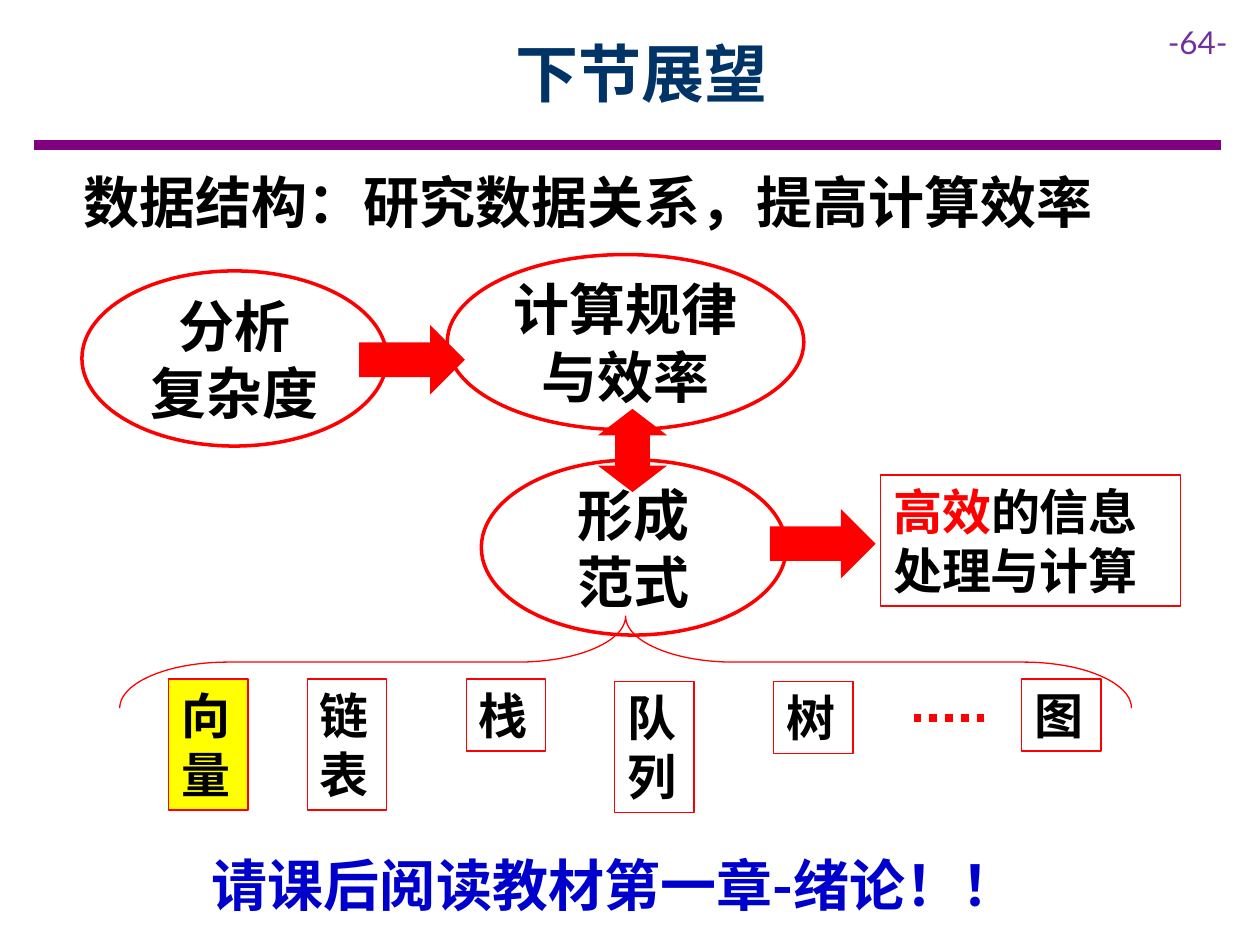
from dataclasses import dataclass

from pptx import Presentation
from pptx.dml.color import RGBColor
from pptx.enum.dml import MSO_LINE
from pptx.enum.shapes import MSO_CONNECTOR, MSO_SHAPE
from pptx.enum.text import MSO_ANCHOR, MSO_AUTO_SIZE, PP_ALIGN
from pptx.oxml.ns import qn
from pptx.util import Inches, Pt
from lxml.etree import SubElement


@dataclass(frozen=True)
class Theme:
    """Colours, fonts and type sizes of the slide."""
    ink: str = "000000"
    red: str = "FF0000"
    yellow: str = "FFFF00"
    navy: str = "003366"
    blue: str = "0000CC"
    purple: str = "800080"
    violet: str = "7030A0"
    chinese: str = "Noto Sans CJK SC"
    latin: str = "Lato"
    title: int = 36
    body: int = 32
    label: int = 28
    number: int = 18


THEME = Theme()
COLUMNS, ROWS = 100, 75
CELL = Inches(10) / COLUMNS


@dataclass(frozen=True)
class Box:
    """An area of the page in grid columns and rows."""
    left: float
    top: float
    columns: float
    rows: float

    def area(self, left, top, columns, rows):
        """Return an area placed relative to this one."""
        return Box(self.left + left, self.top + top, columns, rows)

    def lengths(self):
        """Return left, top, width and height as slide lengths."""
        return [round(value * CELL) for value in
                (self.left, self.top, self.columns, self.rows)]


def style_span(span, size, color, font=THEME.chinese, bold=True):
    """Format one run, with the font set for both scripts."""
    span.font.size, span.font.bold, span.font.name = Pt(size), bold, font
    span.font.color.rgb = RGBColor.from_string(color)
    SubElement(span.font._element, qn("a:ea")).set("typeface", font)


def write(shape, text, size, color, align=PP_ALIGN.CENTER, **style):
    """Fill a shape with text, one paragraph for each line."""
    frame = shape.text_frame
    frame.text = text
    frame.word_wrap = True
    for para in frame.paragraphs:
        para.alignment = align
        for span in para.runs:
            style_span(span, size, color, **style)
    return frame


def add_text(page, box, text, size, color, **style):
    """Add a text box that grows with its text."""
    shape = page.shapes.add_textbox(*box.lengths())
    frame = write(shape, text, size, color, **style)
    frame.auto_size = MSO_AUTO_SIZE.SHAPE_TO_FIT_TEXT


def add_figure(page, kind, box, fill=None, line=None):
    """Add a preset shape with an optional fill and red outline."""
    shape = page.shapes.add_shape(kind, *box.lengths())
    shape.shadow.inherit = False
    if fill:
        shape.fill.solid()
        shape.fill.fore_color.rgb = RGBColor.from_string(fill)
    else:
        shape.fill.background()
    if line:
        shape.line.width = Pt(line)
        shape.line.color.rgb = RGBColor.from_string(THEME.red)
    else:
        shape.line.fill.background()
    return shape


def add_rule(page, box, color, width):
    """Add a horizontal line along the top of a box."""
    left, top, length, _ = box.lengths()
    rule = page.shapes.add_connector(
        MSO_CONNECTOR.STRAIGHT, left, top, left + length, top)
    rule.line.width = Pt(width)
    rule.line.color.rgb = RGBColor.from_string(color)
    SubElement(rule._element.spPr, qn("a:effectLst"))
    return rule


def add_oval(page, box, text):
    """Add an outlined oval with centred text."""
    frame = write(add_figure(page, MSO_SHAPE.OVAL, box, line=2),
                  text, THEME.body, THEME.ink)
    frame.vertical_anchor = MSO_ANCHOR.MIDDLE
    frame.margin_left = frame.margin_right = Inches(0.1)
    frame.margin_top = frame.margin_bottom = Inches(0.1)


def add_arrow(page, box, rotation=0):
    """Add a solid red block arrow."""
    arrow = add_figure(page, MSO_SHAPE.RIGHT_ARROW, box, fill=THEME.red)
    arrow.rotation = rotation


def add_card(page, box, text, fill=None):
    """Add a thinly outlined card and return its text frame."""
    card = add_figure(page, MSO_SHAPE.RECTANGLE, box, fill, line=0.75)
    frame = write(card, text, THEME.label, THEME.ink, align=PP_ALIGN.LEFT)
    frame.vertical_anchor = MSO_ANCHOR.TOP
    frame.auto_size = MSO_AUTO_SIZE.SHAPE_TO_FIT_TEXT
    return frame


def build_header(page, box):
    """Place the title, page number and rule."""
    title = page.shapes.title
    title.left, title.top, title.width, title.height = box.area(
        9.4, 0.7, 83.1, 10).lengths()
    frame = write(title, "下节展望", THEME.title, THEME.navy)
    frame.vertical_anchor = MSO_ANCHOR.MIDDLE
    add_text(page, box.area(91.7, 1.3, 8.3, 4), "-64-", THEME.number,
             THEME.violet, align=PP_ALIGN.LEFT, font=THEME.latin, bold=False)
    add_rule(page, box.area(2.7, box.rows, 94.2, 0), THEME.purple, 6)


def build_flow(page, box):
    """Place the ovals, the arrows between them and the result card."""
    ovals = [("计算规律与效率", 29, 0, 28.3),
             ("分析\n复杂度", 0, 1.3, 24.2),
             ("形成\n范式", 31.7, 16.3, 24.2)]
    for text, left, top, columns in ovals:
        add_oval(page, box.area(left, top, columns, 13.9), text)
    for left, top in ((22, 5.6), (54.6, 20.2)):
        add_arrow(page, box.area(left, top, 8.4, 5.5))
    for top, rotation in ((14, 90), (11.6, 270)):
        add_arrow(page, box.area(41.6, top, 4.2, 5.5), rotation)
    frame = add_card(page, box.area(63.4, 17.5, 23.8, 10.4), "高效")
    para = frame.paragraphs[0]
    para.runs[0].font.color.rgb = RGBColor.from_string(THEME.red)
    span = para.add_run()
    span.text = "的信息处理与计算"
    style_span(span, THEME.label, THEME.ink)


def build_structures(page, box):
    """Place the brace over the row of data structure cards."""
    depth = 7.3
    shift = (box.columns - depth) / 2
    brace = add_figure(page, MSO_SHAPE.LEFT_BRACE, box.area(
        shift, -shift, depth, box.columns), line=0.75)
    brace.rotation = 90
    brace.adjustments[0], brace.adjustments[1] = 1.175, 0.5
    cards = [("向\n量", 3.9, 5, THEME.yellow), ("链表", 14.9, 5, None),
             ("栈", 27.5, 5, None), ("队列", 39.3, 5.2, None),
             ("树", 51.9, 5.2, None), ("图", 71.6, 5, None)]
    for text, left, top, fill in cards:
        rows = 1 + 4.7 * len(text.replace("\n", ""))
        add_card(page, box.area(left, top, 6.3, rows), text, fill)
    dots = add_rule(page, box.area(63, 8.1, 5.6, 0), THEME.red, 4.5)
    dots.line.dash_style = MSO_LINE.ROUND_DOT


def main():
    """Build the slide and save the deck."""
    deck = Presentation()
    deck.slide_width = round(COLUMNS * CELL)
    deck.slide_height = round(ROWS * CELL)
    page = deck.slides.add_slide(deck.slide_layouts[5])
    build_header(page, Box(0, 0, COLUMNS, 11.5))
    add_text(page, Box(2, 12.8, 89.4, 6.4),
             "数据结构：研究数据关系，提高计算效率", THEME.body, THEME.ink)
    build_flow(page, Box(6.5, 20.2, 87.2, 30.2))
    build_structures(page, Box(9.5, 48.9, 80.3, 15.6))
    add_text(page, Box(4.1, 67, 89.4, 6.4),
             "请课后阅读教材第一章-绪论！！", THEME.body, THEME.blue)
    deck.save("out.pptx")


if __name__ == "__main__":
    main()
